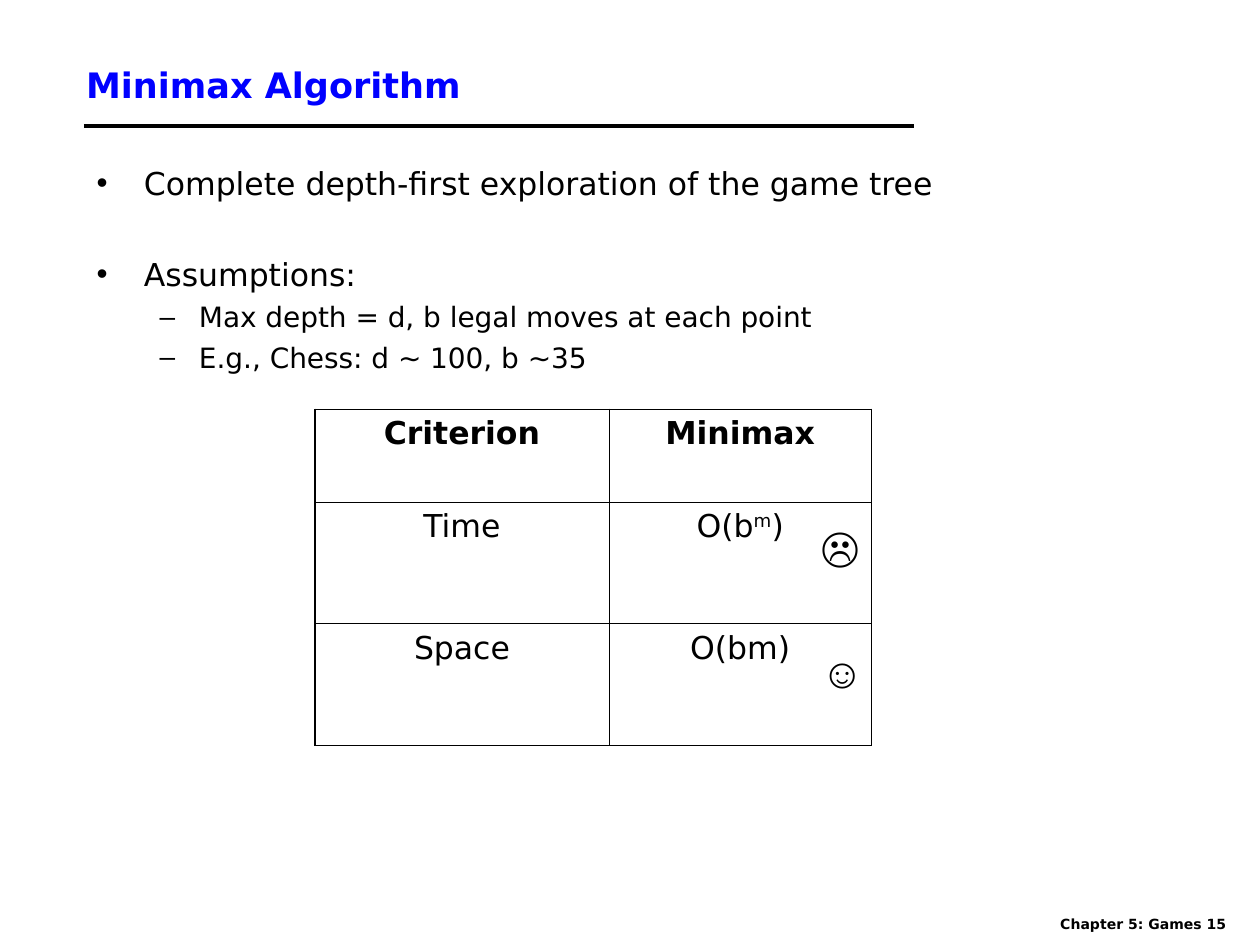
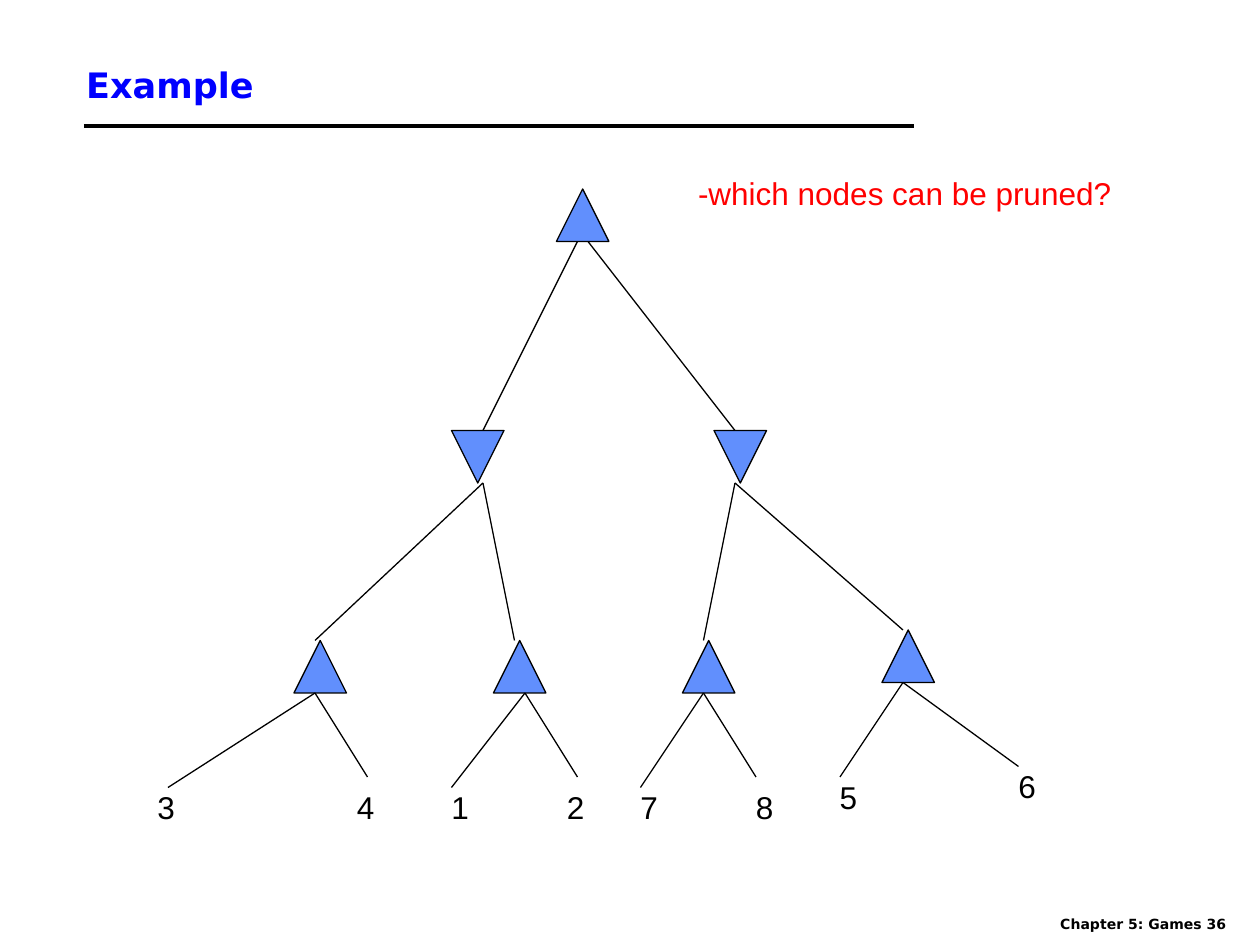
from dataclasses import dataclass

from lxml.etree import SubElement
from pptx import Presentation
from pptx.dml.color import RGBColor
from pptx.enum.shapes import MSO_CONNECTOR as Connector, MSO_SHAPE as Preset
from pptx.enum.text import MSO_ANCHOR as Anchor, MSO_AUTO_SIZE as AutoSize, PP_ALIGN as Align
from pptx.oxml.ns import qn
from pptx.util import Inches, Pt

BLACK = RGBColor(0x00, 0x00, 0x00)
TITLE_BLUE = RGBColor(0x00, 0x00, 0xFF)
NODE_BLUE = RGBColor(0x61, 0x8F, 0xFD)
QUESTION_RED = RGBColor(0xFF, 0x00, 0x00)
HEAD_FONT, PLAIN_FONT = "DejaVu Sans", "Arial"

COLUMNS, ROWS = 120, 90
UNIT = Inches(10) // COLUMNS
NODE_SIZE = 5
OUTER_BORDER, INNER_BORDER = Pt(1.08), Pt(0.45)
TITLE_AND_BODY, TITLE_ONLY = 1, 5


@dataclass
class Node:
    """A tree node: corner of its triangle, start of its edges, and their ends."""
    corner: tuple
    edges: tuple
    is_min: bool = False


INNER_NODES = [
    Node((53, 18), (((55, 23), (46, 41)), ((56, 23), (70, 41)))),
    Node((43, 41), (((46, 46), (30, 61)), ((46, 46), (49, 61))), is_min=True),
    Node((68, 41), (((70, 46), (67, 61)), ((70, 46), (86, 60))), is_min=True),
]
LAST_NODES = [
    Node((28, 61), (((30, 66), (16, 75)), ((30, 66), (35, 74)))),
    Node((47, 61), (((50, 66), (43, 75)), ((50, 66), (55, 74)))),
    Node((65, 61), (((67, 66), (61, 75)), ((67, 66), (72, 74)))),
    Node((84, 60), (((86, 65), (80, 74)), ((86, 65), (97, 73)))),
]
LEAF_VALUES = [
    ("3", 13.8, 74.5), ("4", 32.8, 74.5), ("1", 41.8, 74.5), ("2", 52.8, 74.5),
    ("7", 59.8, 74.5), ("8", 70.8, 74.5), ("5", 78.8, 73.5), ("6", 95.8, 72.5),
]


def grid(*cells):
    return [round(cell * UNIT) for cell in cells]


class Deck:
    def __init__(self):
        self.prs = Presentation()
        self.prs.slide_width, self.prs.slide_height = grid(COLUMNS, ROWS)
        self.slide = None

    def new_slide(self, layout, title, number):
        self.slide = self.prs.slides.add_slide(self.prs.slide_layouts[layout])
        heading = self.slide.shapes.title
        self.place(heading, 7, 4, 102, 8)
        heading.text_frame.vertical_anchor = Anchor.MIDDLE
        line = heading.text_frame.paragraphs[0]
        line.alignment = Align.LEFT
        self.run(line, title, 20, color=TITLE_BLUE, bold=True)
        self.line((8, 12), (87, 12), 2.25)
        self.text(f"Chapter 5: Games {number}", 99.8, 86.6, 21.4, 3, 8, HEAD_FONT, bold=True)

    def place(self, placeholder, left, top, width, height):
        (placeholder.left, placeholder.top,
         placeholder.width, placeholder.height) = grid(left, top, width, height)
        placeholder.text_frame.auto_size = AutoSize.NONE

    def run(self, paragraph, words, size, font=HEAD_FONT, color=BLACK, bold=False, raised=False):
        run = paragraph.add_run()
        run.text = words
        run.font.size, run.font.name, run.font.bold = Pt(size), font, bold
        run.font.color.rgb = color
        if raised:
            run.font._element.set("baseline", "30000")

    def text(self, words, left, top, width, height, size, font=PLAIN_FONT,
             color=BLACK, bold=False, wrap=False):
        frame = self.slide.shapes.add_textbox(*grid(left, top, width, height)).text_frame
        frame.word_wrap = wrap
        frame.auto_size = AutoSize.SHAPE_TO_FIT_TEXT
        self.run(frame.paragraphs[0], words, size, font, color, bold)

    def bullets(self, items):
        """Fill the body with (level, words, size, space before)."""
        body = self.slide.placeholders[1]
        self.place(body, 8, 15, 103, 66)
        for index, (level, words, size, gap) in enumerate(items):
            frame = body.text_frame
            item = frame.add_paragraph() if index else frame.paragraphs[0]
            item.level, item.space_before = level, Pt(gap)
            self.run(item, words, size)

    def line(self, start, end, width=0.75):
        edge = self.slide.shapes.add_connector(Connector.STRAIGHT, *grid(*start, *end))
        edge.line.color.rgb, edge.line.width = BLACK, Pt(width)
        SubElement(edge._element.spPr, qn("a:effectLst"))

    def triangle(self, node):
        shape = self.slide.shapes.add_shape(
            Preset.ISOSCELES_TRIANGLE, *grid(*node.corner, NODE_SIZE, NODE_SIZE))
        shape.rotation = 180 if node.is_min else 0
        shape.shadow.inherit = False
        shape.fill.solid()
        shape.fill.fore_color.rgb = NODE_BLUE
        shape.line.color.rgb, shape.line.width = BLACK, Pt(0.75)

    def table(self, left, top, widths, heights, content):
        """Draw rows of cells; each cell is a list of (words, raised)."""
        table = self.slide.shapes.add_table(
            len(heights), len(widths), *grid(left, top, sum(widths), sum(heights))).table
        table.first_row = table.horz_banding = False
        for column, width in zip(table.columns, grid(*widths)):
            column.width = width
        for row, height in zip(table.rows, grid(*heights)):
            row.height = height
        for r, cells in enumerate(content):
            for c, pieces in enumerate(cells):
                cell = table.cell(r, c)
                paragraph = cell.text_frame.paragraphs[0]
                paragraph.alignment = Align.CENTER
                for words, raised in pieces:
                    self.run(paragraph, words, 18, bold=r == 0, raised=raised)
                self.borders(cell, L=c == 0, R=c == len(widths) - 1,
                             T=r == 0, B=r == len(heights) - 1)
                cell.fill.background()

    def borders(self, cell, **is_outer):
        properties = cell._tc.get_or_add_tcPr()
        for side, outer in is_outer.items():
            width = OUTER_BORDER if outer else INNER_BORDER
            border = SubElement(properties, qn(f"a:ln{side}"), w=str(int(width)))
            fill = SubElement(border, qn("a:solidFill"))
            SubElement(fill, qn("a:srgbClr"), val=str(BLACK))


def minimax_slide(deck):
    deck.new_slide(TITLE_AND_BODY, "Minimax Algorithm", 15)
    deck.bullets([
        (0, "Complete depth-first exploration of the game tree", 18, 4.5),
        (0, "Assumptions:", 18, 30.5),
        (1, "Max depth = d, b legal moves at each point", 16, 4),
        (1, "E.g., Chess: d ~ 100, b ~35", 16, 4),
    ])
    deck.table(30, 39, (28, 25), (8.8, 11.6, 11.6), [
        [[("Criterion", False)], [("Minimax", False)]],
        [[("Time", False)], [("O(b", False), ("m", True), (")", False)]],
        [[("Space", False)], [("O(bm)", False)]],
    ])
    deck.text("☺", 77, 61, 5.8, 6, 24)
    deck.text("☹", 77, 49, 5.8, 6, 24, wrap=True)


def example_slide(deck):
    deck.new_slide(TITLE_ONLY, "Example", 36)
    nodes = INNER_NODES + LAST_NODES
    for node in nodes:
        deck.triangle(node)
    for node in nodes:
        for start, end in node.edges:
            deck.line(start, end)
    for value, left, top in LEAF_VALUES:
        deck.text(value, left, top, 4.1, 4.8, 18)
    deck.text("-which nodes can be pruned?", 65.3, 16, 41.8, 8.4, 18, color=QUESTION_RED)


def main():
    deck = Deck()
    minimax_slide(deck)
    example_slide(deck)
    deck.prs.save("out.pptx")


if __name__ == "__main__":
    main()
